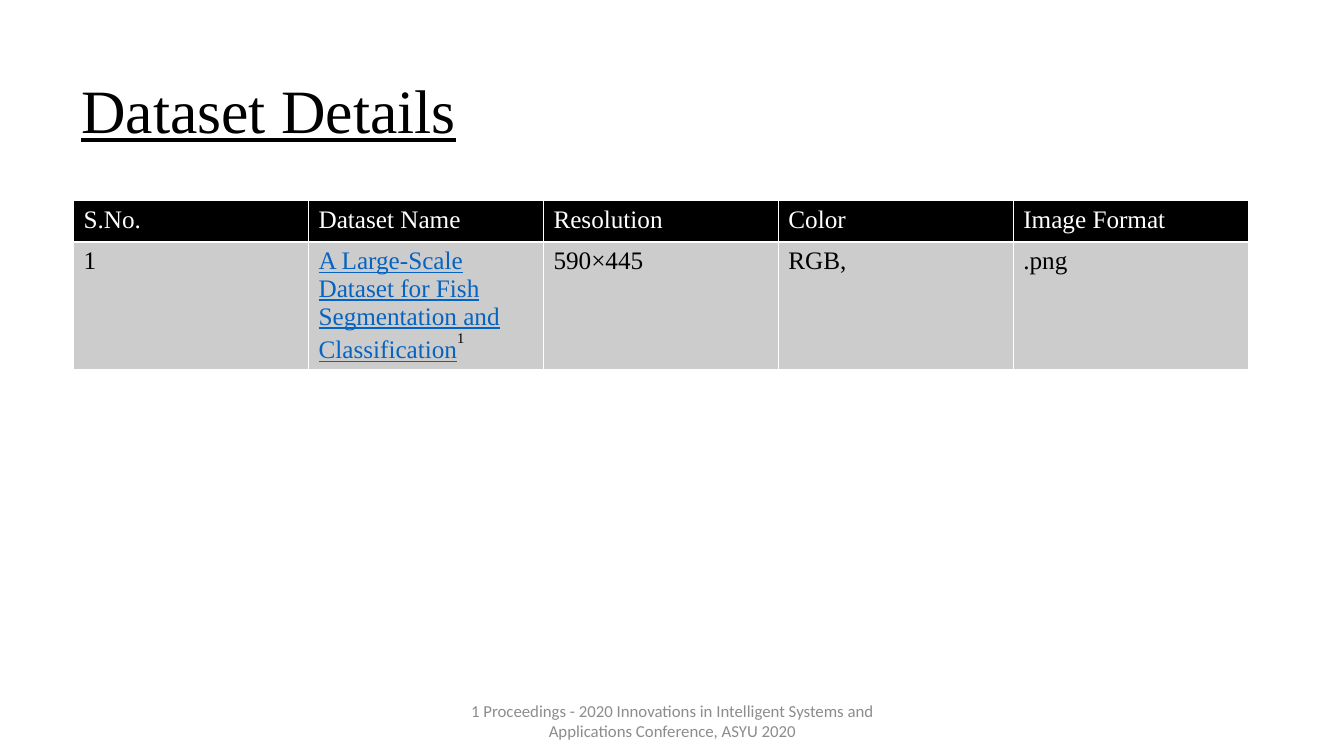
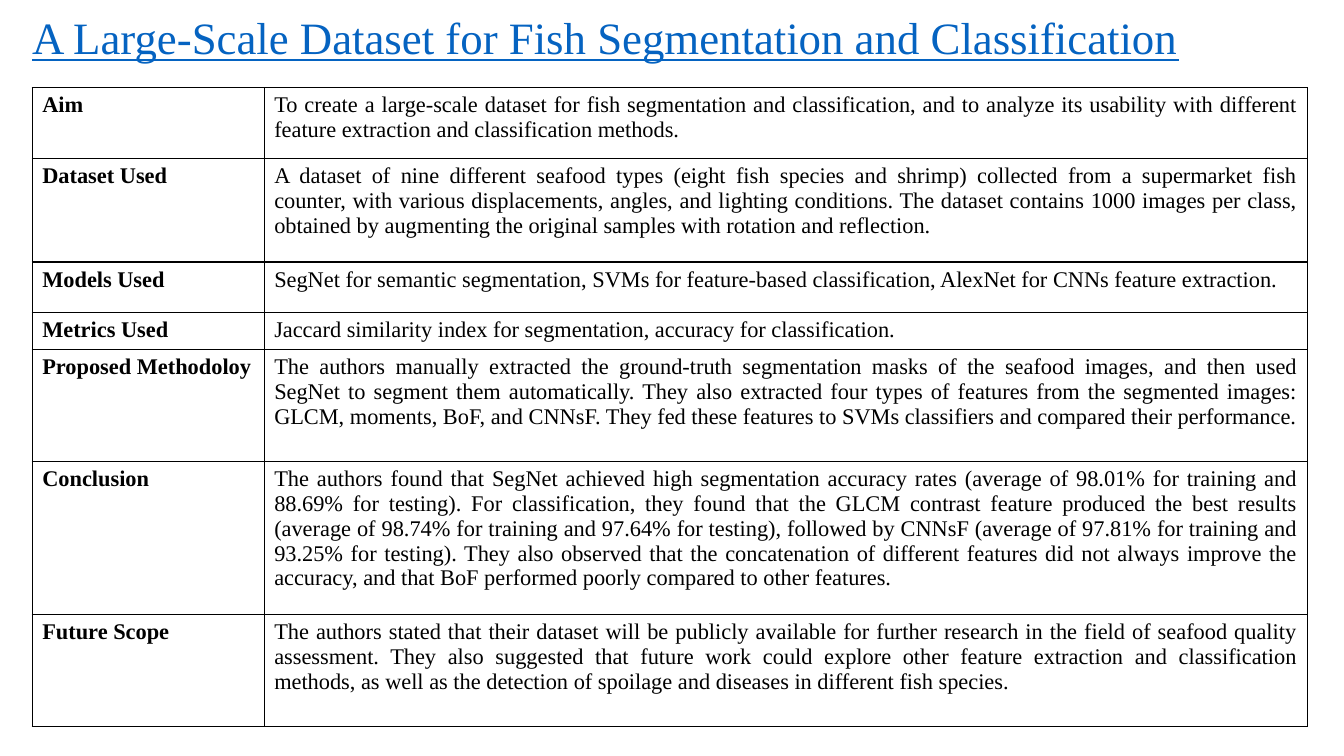
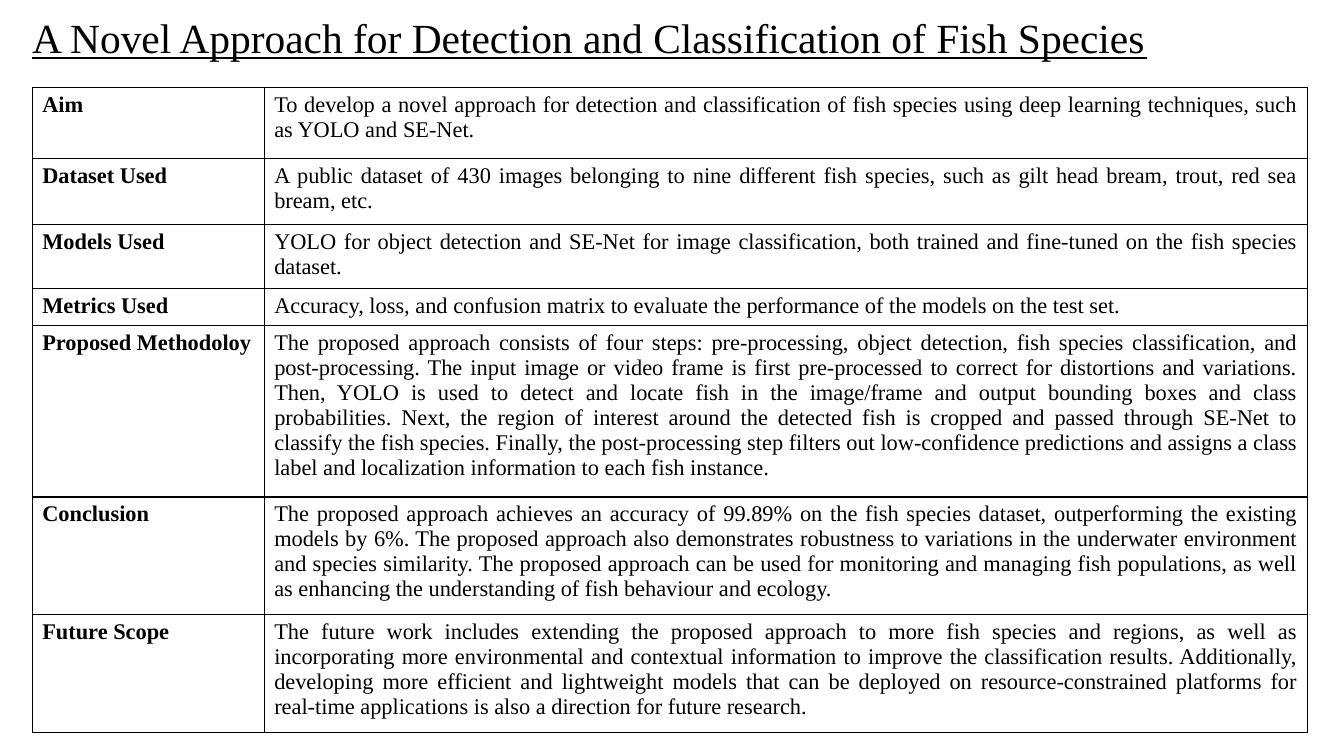
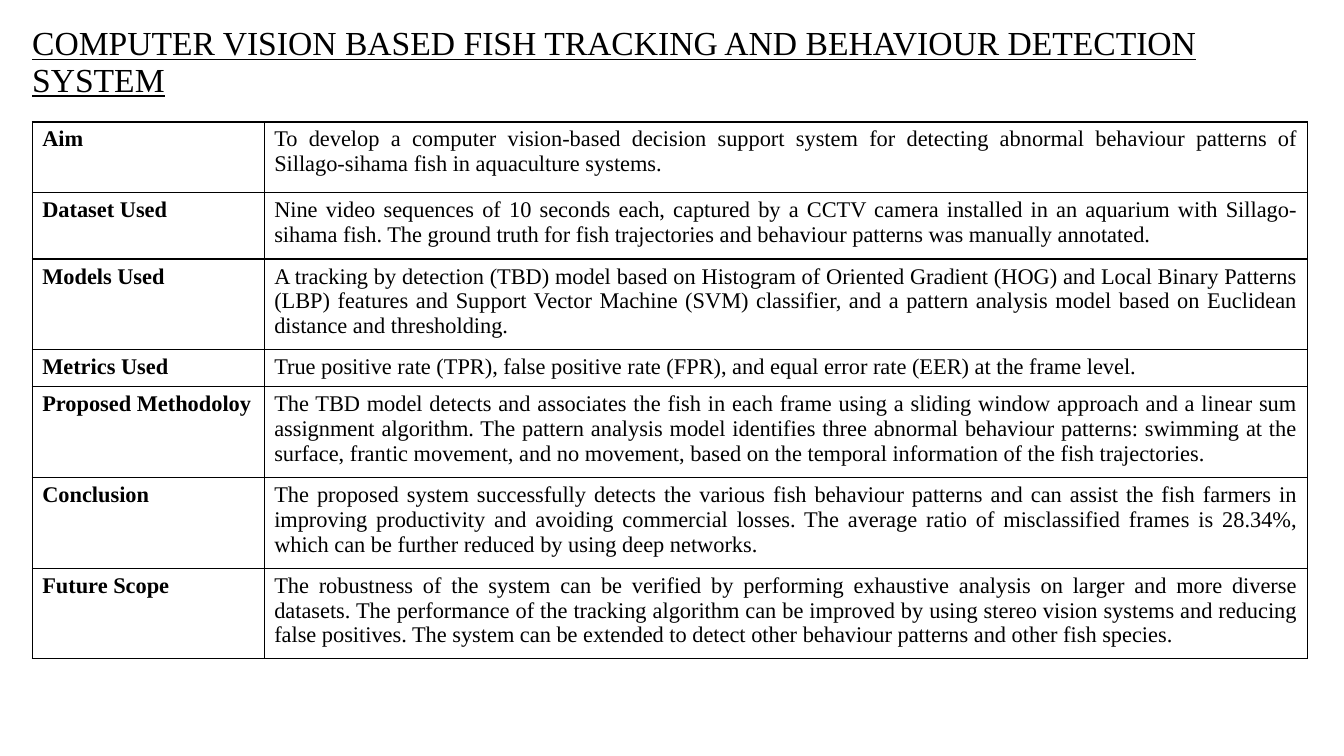
from lxml.etree import SubElement
from pptx import Presentation
from pptx.dml.color import RGBColor
from pptx.enum.text import MSO_ANCHOR as Anchor, PP_ALIGN as Align
from pptx.oxml import parse_xml
from pptx.oxml.ns import nsdecls, qn
from pptx.util import Inches, Pt

BLACK = RGBColor(0x00, 0x00, 0x00)
WHITE = RGBColor(0xFF, 0xFF, 0xFF)
LIGHT_GRAY = RGBColor(0xCC, 0xCC, 0xCC)
FOOTER_GRAY = RGBColor(0x8C, 0x8C, 0x8C)
LINK_BLUE = RGBColor(0x05, 0x63, 0xC1)

SERIF = "Times New Roman"
SANS = "Calibri"

DATASET_TITLE = "A Large-Scale Dataset for Fish Segmentation and Classification"
TOPICS = ("Aim", "Dataset Used", "Models Used", "Metrics Used",
          "Proposed Methodoloy", "Conclusion", "Future Scope")


class PaperDeck:
    """Holds the shared style and the slide being filled."""

    def __init__(self):
        self.deck = Presentation()
        self.deck.slide_width = Inches(13.33)
        self.deck.slide_height = Inches(7.5)
        self.page = None

    def new_page(self):
        self.page = self.deck.slides.add_slide(self.deck.slide_layouts[6])

    def style(self, span, size, color=BLACK, font=SERIF, bold=False, underline=False):
        span.font.name = font
        span.font.size = Pt(size)
        span.font.color.rgb = color
        span.font.bold = bold
        span.font.underline = underline

    def text(self, area, words):
        """Add a middle-anchored text box and return its paragraph."""
        box = self.page.shapes.add_textbox(*(Inches(length) for length in area))
        frame = box.text_frame
        frame.word_wrap = True
        frame.vertical_anchor = Anchor.MIDDLE
        frame.text = words
        return frame.paragraphs[0]

    def title(self, area, words, size, color=BLACK):
        para = self.text(area, words)
        para.line_spacing = 0.9
        self.style(para.runs[0], size, color, underline=True)

    def footer(self, words):
        para = self.text((4.42, 6.95, 4.5, 0.4), words)
        para.alignment = Align.CENTER
        self.style(para.runs[0], 12, FOOTER_GRAY, SANS)

    def table(self, left, top, widths, heights):
        """Add a table without the banded look of the default style."""
        frame = self.page.shapes.add_table(
            len(heights), len(widths), Inches(left), Inches(top),
            Inches(sum(widths)), Inches(sum(heights)))
        table = frame.table
        table.first_row = False
        table.horz_banding = False
        for column, width in zip(table.columns, widths):
            column.width = Inches(width)
        for row, height in zip(table.rows, heights):
            row.height = Inches(height)
        return table

    def cell(self, cell, words, size, color=BLACK, bold=False, fill=None, border=BLACK):
        """Fill and outline a cell, and return its paragraph."""
        cell.text_frame.text = words
        para = cell.text_frame.paragraphs[0]
        self.style(para.runs[0], size, color, bold=bold)
        if fill is None:
            cell.fill.background()
        else:
            cell.fill.solid()
            cell.fill.fore_color.rgb = fill
        self.outline(cell, border)
        return para

    def outline(self, cell, color):
        properties = cell._tc.get_or_add_tcPr()
        for place, side in enumerate(("lnL", "lnR", "lnT", "lnB")):
            line = parse_xml(f'<a:{side} {nsdecls("a")} w="{Pt(1)}"/>')
            paint = SubElement(line, qn("a:solidFill"))
            SubElement(paint, qn("a:srgbClr")).set("val", str(color))
            properties.insert(place, line)

    def dataset_table(self, header, record, note):
        """One dataset under a black header; the name carries a raised note mark."""
        table = self.table(0.73, 1.99, [2.33] * len(header), [0.41, 1.26])
        for column, (heading, value) in enumerate(zip(header, record)):
            self.cell(table.cell(0, column), heading, 18, WHITE, fill=BLACK, border=WHITE)
            para = self.cell(table.cell(1, column), value, 18, fill=LIGHT_GRAY, border=WHITE)
            if value == DATASET_TITLE:
                self.style(para.runs[0], 18, LINK_BLUE, underline=True)
                mark = para.add_run()
                mark.text = note
                self.style(mark, 18)
                mark.font._element.set("baseline", "60000")

    def review_table(self, top, heights, findings):
        table = self.table(0.32, top, [2.3, 10.35], heights)
        for row, pair in enumerate(zip(TOPICS, findings)):
            for column, words in enumerate(pair):
                para = self.cell(table.cell(row, column), words, 16, bold=column == 0)
                para.alignment = Align.JUSTIFY


ONE_LINE_TITLE = (0.22, 0.09, 11.65, 0.62)
TWO_LINE_TITLE = (0.22, 0.17, 12.51, 0.91)

REVIEWS = [
    {
        "title": (ONE_LINE_TITLE, DATASET_TITLE, 32, LINK_BLUE),
        "top": 0.87,
        "heights": [0.7, 1.03, 0.5, 0.33, 1.11, 1.52, 1.11],
        "findings": [
            "To create a large-scale dataset for fish segmentation and classification, and to "
            "analyze its usability with different feature extraction and classification methods.",
            "A dataset of nine different seafood types (eight fish species and shrimp) collected "
            "from a supermarket fish counter, with various displacements, angles, and lighting "
            "conditions. The dataset contains 1000 images per class, obtained by augmenting the "
            "original samples with rotation and reflection.",
            "SegNet for semantic segmentation, SVMs for feature-based classification, AlexNet "
            "for CNNs feature extraction.",
            "Jaccard similarity index for segmentation, accuracy for classification.",
            "The authors manually extracted the ground-truth segmentation masks of the seafood "
            "images, and then used SegNet to segment them automatically. They also extracted "
            "four types of features from the segmented images: GLCM, moments, BoF, and CNNsF. "
            "They fed these features to SVMs classifiers and compared their performance.",
            "The authors found that SegNet achieved high segmentation accuracy rates (average "
            "of 98.01% for training and 88.69% for testing). For classification, they found "
            "that the GLCM contrast feature produced the best results (average of 98.74% for "
            "training and 97.64% for testing), followed by CNNsF (average of 97.81% for "
            "training and 93.25% for testing). They also observed that the concatenation of "
            "different features did not always improve the accuracy, and that BoF performed "
            "poorly compared to other features.",
            "The authors stated that their dataset will be publicly available for further "
            "research in the field of seafood quality assessment. They also suggested that "
            "future work could explore other feature extraction and classification methods, as "
            "well as the detection of spoilage and diseases in different fish species.",
        ],
    },
    {
        "title": (ONE_LINE_TITLE,
                  "A Novel Approach for Detection and Classification of Fish Species", 29.6),
        "top": 0.87,
        "heights": [0.7, 0.66, 0.5, 0.33, 1.11, 1.15, 1.11],
        "findings": [
            "To develop a novel approach for detection and classification of fish species using "
            "deep learning techniques, such as YOLO and SE-Net.",
            "A public dataset of 430 images belonging to nine different fish species, such as "
            "gilt head bream, trout, red sea bream, etc.",
            "YOLO for object detection and SE-Net for image classification, both trained and "
            "fine-tuned on the fish species dataset.",
            "Accuracy, loss, and confusion matrix to evaluate the performance of the models on "
            "the test set.",
            "The proposed approach consists of four steps: pre-processing, object detection, "
            "fish species classification, and post-processing. The input image or video frame "
            "is first pre-processed to correct for distortions and variations. Then, YOLO is "
            "used to detect and locate fish in the image/frame and output bounding boxes and "
            "class probabilities. Next, the region of interest around the detected fish is "
            "cropped and passed through SE-Net to classify the fish species. Finally, the "
            "post-processing step filters out low-confidence predictions and assigns a class "
            "label and localization information to each fish instance.",
            "The proposed approach achieves an accuracy of 99.89% on the fish species dataset, "
            "outperforming the existing models by 6%. The proposed approach also demonstrates "
            "robustness to variations in the underwater environment and species similarity. The "
            "proposed approach can be used for monitoring and managing fish populations, as "
            "well as enhancing the understanding of fish behaviour and ecology.",
            "The future work includes extending the proposed approach to more fish species and "
            "regions, as well as incorporating more environmental and contextual information to "
            "improve the classification results. Additionally, developing more efficient and "
            "lightweight models that can be deployed on resource-constrained platforms for "
            "real-time applications is also a direction for future research.",
        ],
    },
    {
        "title": (TWO_LINE_TITLE,
                  "COMPUTER VISION BASED FISH TRACKING AND BEHAVIOUR DETECTION SYSTEM", 24),
        "top": 1.21,
        "heights": [0.7, 0.66, 0.5, 0.33, 0.86, 0.87, 0.87],
        "findings": [
            "To develop a computer vision-based decision support system for detecting abnormal "
            "behaviour patterns of Sillago-sihama fish in aquaculture systems.",
            "Nine video sequences of 10 seconds each, captured by a CCTV camera installed in an "
            "aquarium with Sillago-sihama fish. The ground truth for fish trajectories and "
            "behaviour patterns was manually annotated.",
            "A tracking by detection (TBD) model based on Histogram of Oriented Gradient (HOG) "
            "and Local Binary Patterns (LBP) features and Support Vector Machine (SVM) "
            "classifier, and a pattern analysis model based on Euclidean distance and "
            "thresholding.",
            "True positive rate (TPR), false positive rate (FPR), and equal error rate (EER) at "
            "the frame level.",
            "The TBD model detects and associates the fish in each frame using a sliding window "
            "approach and a linear sum assignment algorithm. The pattern analysis model "
            "identifies three abnormal behaviour patterns: swimming at the surface, frantic "
            "movement, and no movement, based on the temporal information of the fish "
            "trajectories.",
            "The proposed system successfully detects the various fish behaviour patterns and "
            "can assist the fish farmers in improving productivity and avoiding commercial "
            "losses. The average ratio of misclassified frames is 28.34%, which can be further "
            "reduced by using deep networks.",
            "The robustness of the system can be verified by performing exhaustive analysis on "
            "larger and more diverse datasets. The performance of the tracking algorithm can be "
            "improved by using stereo vision systems and reducing false positives. The system "
            "can be extended to detect other behaviour patterns and other fish species.",
        ],
    },
]


def main():
    paper = PaperDeck()

    paper.new_page()
    paper.dataset_table(
        ["S.No.", "Dataset Name", "Resolution", "Color", "Image Format"],
        ["1", DATASET_TITLE, "590×445", "RGB,", ".png"],
        note="1")
    paper.footer("1 Proceedings - 2020 Innovations in Intelligent Systems and "
                 "Applications Conference, ASYU 2020")
    paper.title((0.71, 0.4, 5.65, 1.45), "Dataset Details", 44)

    for review in REVIEWS:
        paper.new_page()
        paper.review_table(review["top"], review["heights"], review["findings"])
        paper.title(*review["title"])

    paper.deck.save("out.pptx")


if __name__ == "__main__":
    main()
